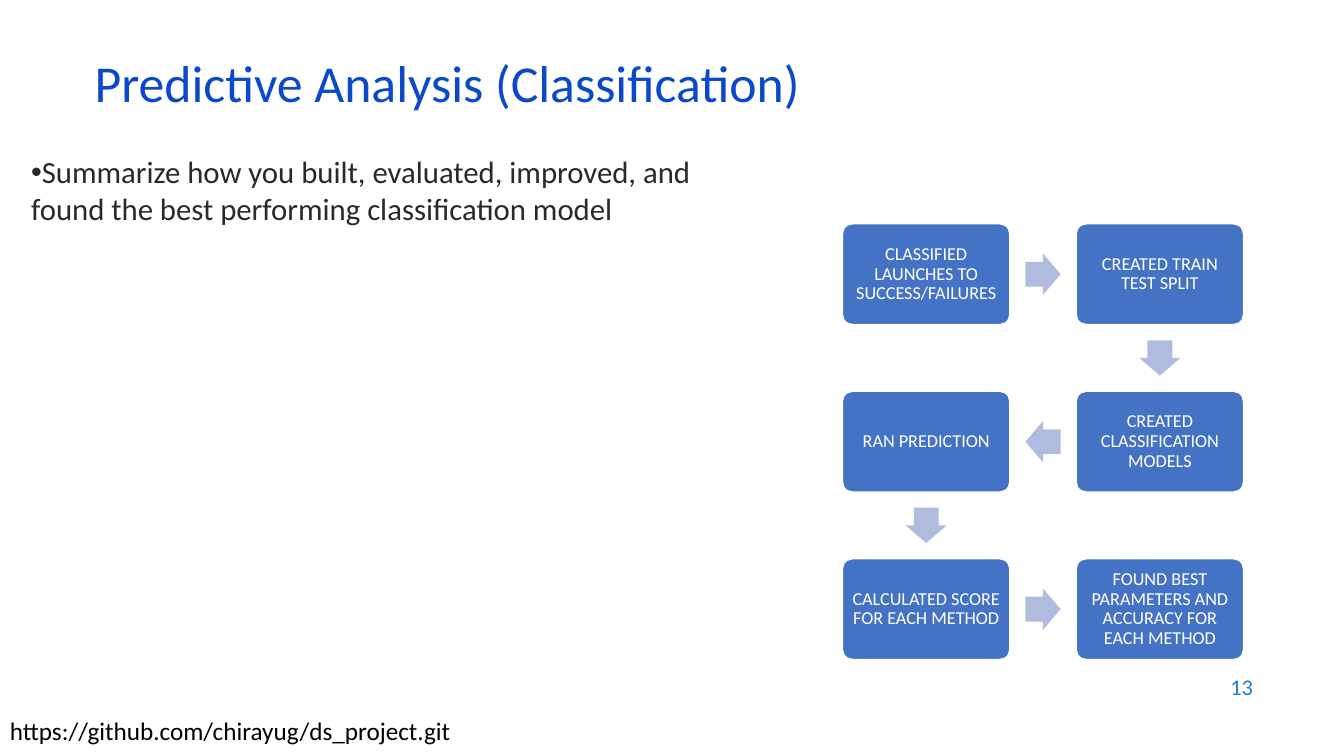
import dataclasses
import math

import pptx
import pptx.dml.color
import pptx.enum.shapes
import pptx.enum.text
import pptx.oxml
import pptx.oxml.ns
import pptx.util
from pptx.util import Cm

RGBColor = pptx.dml.color.RGBColor
Align = pptx.enum.text.PP_ALIGN
Anchor = pptx.enum.text.MSO_ANCHOR
Shape = pptx.enum.shapes.MSO_SHAPE

TITLE_BLUE = RGBColor(0x0B, 0x49, 0xCB)
NUMBER_BLUE = RGBColor(0x1C, 0x7D, 0xDB)
BOX_BLUE = RGBColor(0x44, 0x72, 0xC4)
ARROW_BLUE = RGBColor(0xB0, 0xBC, 0xDE)
DARK_GREY = RGBColor(0x29, 0x29, 0x29)
BLACK = RGBColor(0, 0, 0)
WHITE = RGBColor(0xFF, 0xFF, 0xFF)

FONT = "Calibri"
FLOW_LEFT, FLOW_TOP = Cm(21.23), Cm(5.64)
BOX_W, BOX_H = Cm(4.22), Cm(2.54)
COLUMN_STEP, ROW_STEP = Cm(5.89), Cm(4.22)
ARROW_W, ARROW_H = Cm(0.89), Cm(1.04)


@dataclasses.dataclass(frozen=True)
class Step:
    text: str
    column: int
    row: int

    @property
    def center(self) -> tuple[int, int]:
        return (FLOW_LEFT + self.column * COLUMN_STEP + BOX_W // 2,
                FLOW_TOP + self.row * ROW_STEP + BOX_H // 2)


STEPS = [
    Step("CLASSIFIED LAUNCHES TO SUCCESS/FAILURES", 0, 0),
    Step("CREATED TRAIN TEST SPLIT", 1, 0),
    Step("CREATED CLASSIFICATION MODELS", 1, 1),
    Step("RAN PREDICTION", 0, 1),
    Step("CALCULATED SCORE FOR EACH METHOD", 0, 2),
    Step("FOUND BEST PARAMETERS AND ACCURACY FOR EACH METHOD", 1, 2),
]


def place(sp, left: float, top: float, width: float, height: float) -> None:
    """Position a shape with lengths in centimetres."""
    sp.left, sp.top, sp.width, sp.height = map(Cm, (left, top, width, height))


def set_text(sp, text: str, *, size: float, color: RGBColor,
             align=Align.LEFT, anchor=Anchor.TOP, line_spacing: float = 1.0,
             margin: float | None = None, bullet: str | None = None) -> None:
    tf = sp.text_frame
    tf.word_wrap = True
    tf.auto_size = pptx.enum.text.MSO_AUTO_SIZE.NONE
    tf.vertical_anchor = anchor
    if margin is not None:
        tf.margin_left = tf.margin_right = Cm(margin)
        tf.margin_top = tf.margin_bottom = Cm(margin)
    p = tf.paragraphs[0]
    p.alignment = align
    p.line_spacing = line_spacing
    p.space_before = pptx.util.Pt(0)
    if bullet:
        pPr = p._p.get_or_add_pPr()
        pPr.set("marL", "0")
        pPr.set("indent", "0")
        ns = pptx.oxml.ns.nsdecls("a")
        for xml in (f'<a:buFont {ns} typeface="Arial"/>',
                    f'<a:buChar {ns} char="{bullet}"/>'):
            pPr.append(pptx.oxml.parse_xml(xml))
    r = p.add_run()
    r.text = text
    r.font.name = FONT
    r.font.size = pptx.util.Pt(size)
    r.font.color.rgb = color


def add_label(s, left: float, top: float, width: float, height: float,
              text: str, **text_format) -> None:
    sp = s.shapes.add_textbox(*map(Cm, (left, top, width, height)))
    set_text(sp, text, **text_format)


def add_centered(s, kind, center: tuple[int, int], width: int, height: int,
                 fill: RGBColor):
    """Add a filled shape around its centre point."""
    x, y = center
    sp = s.shapes.add_shape(kind, x - width // 2, y - height // 2, width, height)
    sp.shadow.inherit = False
    sp.fill.solid()
    sp.fill.fore_color.rgb = fill
    sp.line.fill.background()
    return sp


def add_step(s, step: Step) -> None:
    sp = add_centered(s, Shape.ROUNDED_RECTANGLE, step.center, BOX_W, BOX_H, BOX_BLUE)
    sp.adjustments[0] = 0.1
    sp.line.color.rgb = WHITE
    sp.line.width = pptx.util.Pt(1)
    set_text(sp, step.text, size=13, color=WHITE, align=Align.CENTER,
             anchor=Anchor.MIDDLE, line_spacing=0.9, margin=0.13)


def add_arrow(s, start: Step, end: Step) -> None:
    """Point an arrow from one step to the next, midway between them."""
    (x1, y1), (x2, y2) = start.center, end.center
    sp = add_centered(s, Shape.RIGHT_ARROW, ((x1 + x2) // 2, (y1 + y2) // 2),
                      ARROW_W, ARROW_H, ARROW_BLUE)
    sp.adjustments[0], sp.adjustments[1] = 0.6, 0.5
    sp.rotation = math.degrees(math.atan2(y2 - y1, x2 - x1))


def main() -> None:
    prs = pptx.Presentation()
    prs.slide_width, prs.slide_height = Cm(33.87), Cm(19.05)
    s = prs.slides.add_slide(prs.slide_layouts[1])

    title, body = s.shapes.title, s.placeholders[1]
    place(title, 2.13, 1.5, 29.21, 1.52)
    set_text(title, "Predictive Analysis (Classification)", size=37,
             color=TITLE_BLUE, anchor=Anchor.MIDDLE, line_spacing=0.7)
    place(body, 0.53, 3.73, 18.39, 13.82)
    set_text(body, "Summarize how you built, evaluated, improved, and found "
             "the best performing classification model",
             size=22, color=DARK_GREY, bullet="•")

    add_label(s, 24.21, 16.74, 7.62, 1.12, "13", size=16, color=NUMBER_BLUE,
              align=Align.RIGHT, anchor=Anchor.MIDDLE)
    add_label(s, 0, 17.91, 16.94, 1.02,
              "https://github.com/chirayug/ds_project.git", size=18, color=BLACK)

    for step in STEPS:
        add_step(s, step)
    for start, end in zip(STEPS, STEPS[1:]):
        add_arrow(s, start, end)

    prs.save("out.pptx")


if __name__ == "__main__":
    main()
